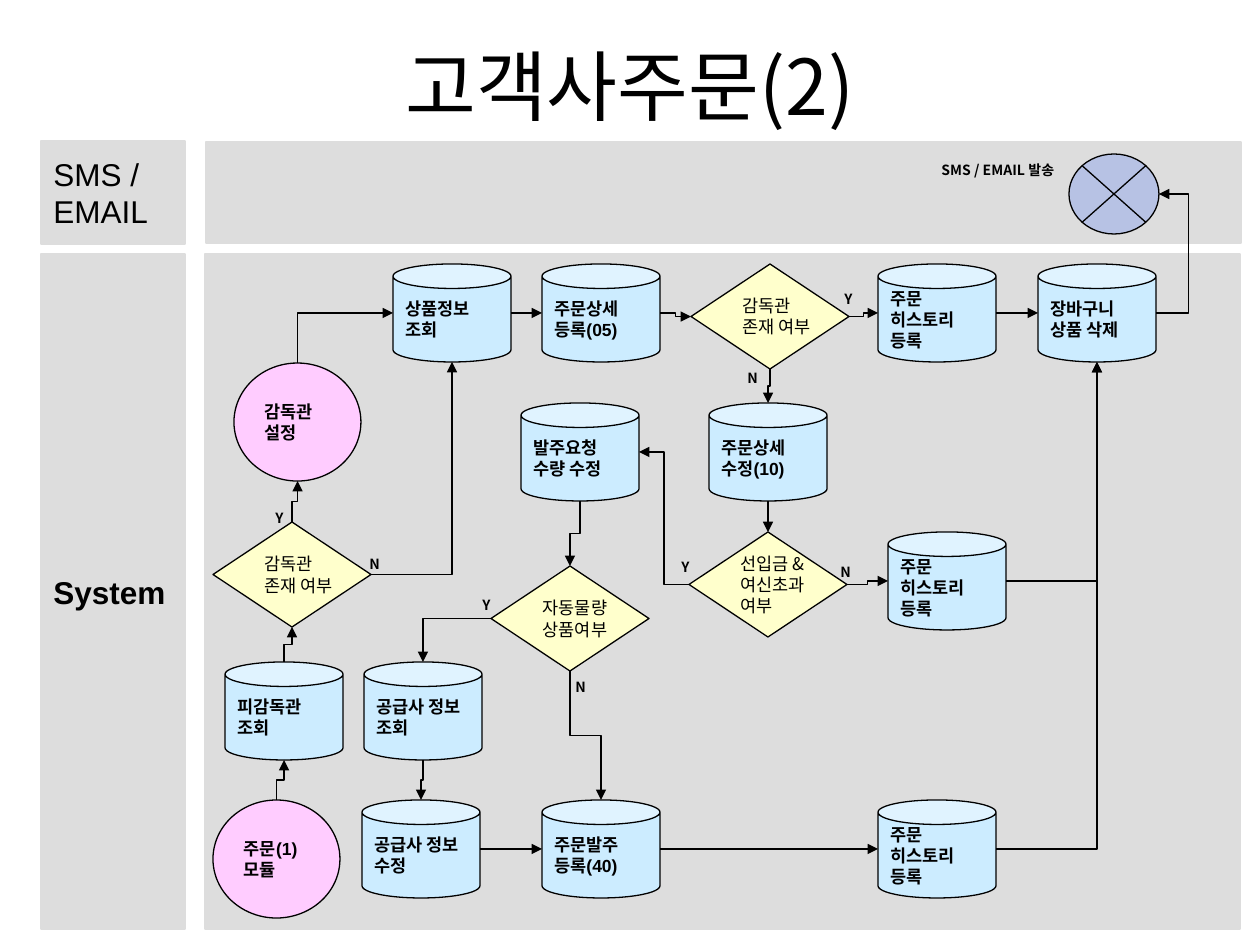
import pptx
import pptx.util
import pptx.dml.color
import pptx.enum.shapes
import pptx.enum.text
import pptx.oxml.ns
from lxml import etree

SHAPE = pptx.enum.shapes.MSO_SHAPE
ALIGN = pptx.enum.text.PP_ALIGN
ANCHOR = pptx.enum.text.MSO_ANCHOR
qn = pptx.oxml.ns.qn

COLORS = {"ink": "000000", "lane": "DDDDDD", "data": "CCECFF",
          "decision": "FFFFCC", "module": "FFCCFF", "send": "3366FF"}
LATIN, KOREAN = "Arial", "Noto Sans CJK KR"
# Connection site numbers of each preset, by side
FOUR_SITES = {"top": 0, "left": 1, "bottom": 2, "right": 3}
CAN_SITES = {"top": 1, "left": 2, "bottom": 3, "right": 4}
ROUND_SITES = {"top": 0, "left": 2, "bottom": 4, "right": 6}
SITES = {SHAPE.DIAMOND: FOUR_SITES, SHAPE.CAN: CAN_SITES, SHAPE.OVAL: ROUND_SITES,
         SHAPE.FLOWCHART_SUMMING_JUNCTION: ROUND_SITES}
VERTICAL = ("top", "bottom")


def px(value):
    return round(value * 914400 / 126)


def rgb(name):
    return pptx.dml.color.RGBColor.from_string(COLORS[name])


class FlowPage:
    def __init__(self, page):
        self.page = page

    def set_text(self, frame, text, size, font, bold=False, align=ALIGN.LEFT, wrap=False):
        frame.word_wrap = wrap
        frame.text = text
        for para in frame.paragraphs:
            para.alignment = align
            for span in para.runs:
                span.font.size = pptx.util.Pt(size)
                span.font.name = font
                span.font.bold = bold
                span.font.color.rgb = rgb("ink")
                etree.SubElement(span.font._element, qn("a:ea"), typeface=KOREAN)

    def shape(self, kind, left, top, width, height, fill, line="ink"):
        shape = self.page.shapes.add_shape(kind, px(left), px(top), px(width), px(height))
        shape.shadow.inherit = False
        shape.fill.solid()
        shape.fill.fore_color.rgb = rgb(fill)
        shape.line.color.rgb = rgb(line)
        shape.line.width = pptx.util.Pt(0.75)
        shape.text_frame.vertical_anchor = ANCHOR.MIDDLE
        return shape

    def lane(self, left, top, width, height, text="", bold=False):
        lane = self.shape(SHAPE.RECTANGLE, left, top, width, height, "lane", "lane")
        if text:
            self.set_text(lane.text_frame, text, 18, LATIN, bold)

    def data(self, left, top, text):
        can = self.shape(SHAPE.CAN, left, top, 118, 98, "data")
        self.set_text(can.text_frame, text, 10, LATIN, True)
        return can

    def decision(self, left, top, text):
        diamond = self.shape(SHAPE.DIAMOND, left, top, 158, 105, "decision")
        self.set_text(diamond.text_frame, text, 10, KOREAN)
        return diamond

    def module(self, left, top, text):
        circle = self.shape(SHAPE.OVAL, left, top, 127, 118, "module")
        self.set_text(circle.text_frame, text, 10, LATIN, True)
        return circle

    def junction(self, left, top, width, height):
        circle = self.shape(SHAPE.FLOWCHART_SUMMING_JUNCTION, left, top, width, height, "send")
        color = circle._element.spPr.find(qn("a:solidFill"))[0]
        etree.SubElement(color, qn("a:alpha"), val="22000")
        return circle

    def title(self, left, top, width, height, text):
        box = self.page.shapes.add_textbox(px(left), px(top), px(width), px(height))
        box.text_frame.vertical_anchor = ANCHOR.MIDDLE
        self.set_text(box.text_frame, text, 44, KOREAN, align=ALIGN.CENTER, wrap=True)

    def label(self, left, top, text, width=35):
        box = self.page.shapes.add_textbox(px(left), px(top), px(width), px(30))
        self.set_text(box.text_frame, text, 8, KOREAN, True)
        box.text_frame.auto_size = pptx.enum.text.MSO_AUTO_SIZE.SHAPE_TO_FIT_TEXT

    def side_point(self, shape, side):
        across = {"left": 0, "right": 1}.get(side, 0.5)
        down = {"top": 0, "bottom": 1}.get(side, 0.5)
        return (round(shape.left + shape.width * across),
                round(shape.top + shape.height * down))

    def flow(self, source, source_side, target, target_side, bend=None):
        x1, y1 = self.side_point(source, source_side)
        x2, y2 = self.side_point(target, target_side)
        line = self.page.shapes.add_connector(
            pptx.enum.shapes.MSO_CONNECTOR.ELBOW, x1, y1, x2, y2)
        line.line.color.rgb = rgb("ink")
        line.line.width = pptx.util.Pt(0.75)
        properties = line._element.spPr
        etree.SubElement(properties.find(qn("a:ln")), qn("a:tailEnd"), type="triangle")
        etree.SubElement(properties, qn("a:effectLst"))

        # One corner when the sides are at right angles, otherwise two
        geometry = properties.find(qn("a:prstGeom"))
        starts_vertical = source_side in VERTICAL
        if starts_vertical != (target_side in VERTICAL):
            geometry.set("prst", "bentConnector2")
        elif bend:
            ratio = round((px(bend) - x1) / (x2 - x1) * 100000)
            etree.SubElement(geometry.find(qn("a:avLst")), qn("a:gd"),
                             name="adj1", fmla=f"val {ratio}")

        # A path that leaves vertically is a quarter turn of a horizontal one
        if starts_vertical:
            width, height = abs(x2 - x1), abs(y2 - y1)
            line.left = (x1 + x2 - height) // 2
            line.top = (y1 + y2 - width) // 2
            line.width, line.height = height, width
            frame = properties.find(qn("a:xfrm"))
            frame.set("rot", "5400000")
            frame.set("flipH", str(int(y2 < y1)))
            frame.set("flipV", str(int(x2 > x1)))

        joints = line._element.find(".//" + qn("p:cNvCxnSpPr"))
        for tag, shape, side in (("a:stCxn", source, source_side),
                                 ("a:endCxn", target, target_side)):
            site = SITES[shape.auto_shape_type][side]
            etree.SubElement(joints, qn(tag), id=str(shape.shape_id), idx=str(site))


def main():
    deck = pptx.Presentation()
    deck.slide_width, deck.slide_height = px(1260), px(945)
    chart = FlowPage(deck.slides.add_slide(deck.slide_layouts[6]))

    # Title and lanes
    chart.lane(206, 142, 1035, 101)
    chart.title(63, 6, 1134, 158, "고객사주문(2)")
    chart.lane(205, 254, 1035, 675)
    chart.lane(41, 254, 144, 675, "System", True)
    chart.lane(41, 141, 144, 103, "SMS /\nEMAIL")

    # Supervisor check
    order = chart.module(213, 800, "주문(1)\n모듈")
    member = chart.data(225, 662, "피감독관\n조회")
    has_supervisor = chart.decision(213, 522, "감독관\n존재 여부")
    supervisor = chart.module(234, 363, "감독관\n설정")

    # Order registration, top row
    history = "주문\n히스토리\n등록"
    product = chart.data(393, 264, "상품정보\n조회")
    detail = chart.data(542, 264, "주문상세\n등록(05)")
    needs_approval = chart.decision(691, 264, "감독관\n존재 여부")
    approval_history = chart.data(878, 264, history)
    cart = chart.data(1038, 264, "장바구니\n상품 삭제")
    send = chart.junction(1069, 154, 90, 80)

    # Credit check
    detail_update = chart.data(709, 403, "주문상세\n수정(10)")
    credit = chart.decision(689, 532, "선입금 &\n여신초과\n여부")
    credit_history = chart.data(888, 532, history)

    # Automatic supply
    quantity = chart.data(521, 403, "발주요청\n수량 수정")
    automatic = chart.decision(491, 566, "자동물량\n상품여부")
    supplier = chart.data(364, 662, "공급사 정보\n조회")
    supplier_update = chart.data(362, 800, "공급사 정보\n수정")
    purchase = chart.data(542, 800, "주문발주\n등록(40)")
    purchase_history = chart.data(878, 800, history)

    # Flows
    for source, source_side, target, target_side in (
            (order, "top", member, "bottom"),
            (member, "top", has_supervisor, "bottom"),
            (has_supervisor, "top", supervisor, "bottom"),
            (supervisor, "top", product, "left"),
            (has_supervisor, "right", product, "bottom"),
            (product, "right", detail, "left"),
            (detail, "right", needs_approval, "left"),
            (needs_approval, "right", approval_history, "left"),
            (approval_history, "right", cart, "left"),
            (needs_approval, "bottom", detail_update, "top"),
            (detail_update, "bottom", credit, "top"),
            (credit, "right", credit_history, "left"),
            (credit_history, "right", cart, "bottom"),
            (credit, "left", quantity, "right"),
            (quantity, "bottom", automatic, "top"),
            (automatic, "left", supplier, "top"),
            (supplier, "bottom", supplier_update, "top"),
            (automatic, "bottom", purchase, "top"),
            (supplier_update, "right", purchase, "left"),
            (purchase, "right", purchase_history, "left"),
            (purchase_history, "right", cart, "bottom")):
        chart.flow(source, source_side, target, target_side)
    chart.flow(cart, "right", send, "right", bend=1189)

    # Branch labels
    for left, top, text in ((263, 503, "Y"), (357, 549, "N"), (735, 363, "N"),
                            (832, 284, "Y"), (828, 557, "N"), (669, 552, "Y"),
                            (470, 590, "Y"), (563, 672, "N")):
        chart.label(left, top, text)
    chart.label(929, 155, "SMS / EMAIL 발송", 147)

    deck.save("out.pptx")


if __name__ == "__main__":
    main()
